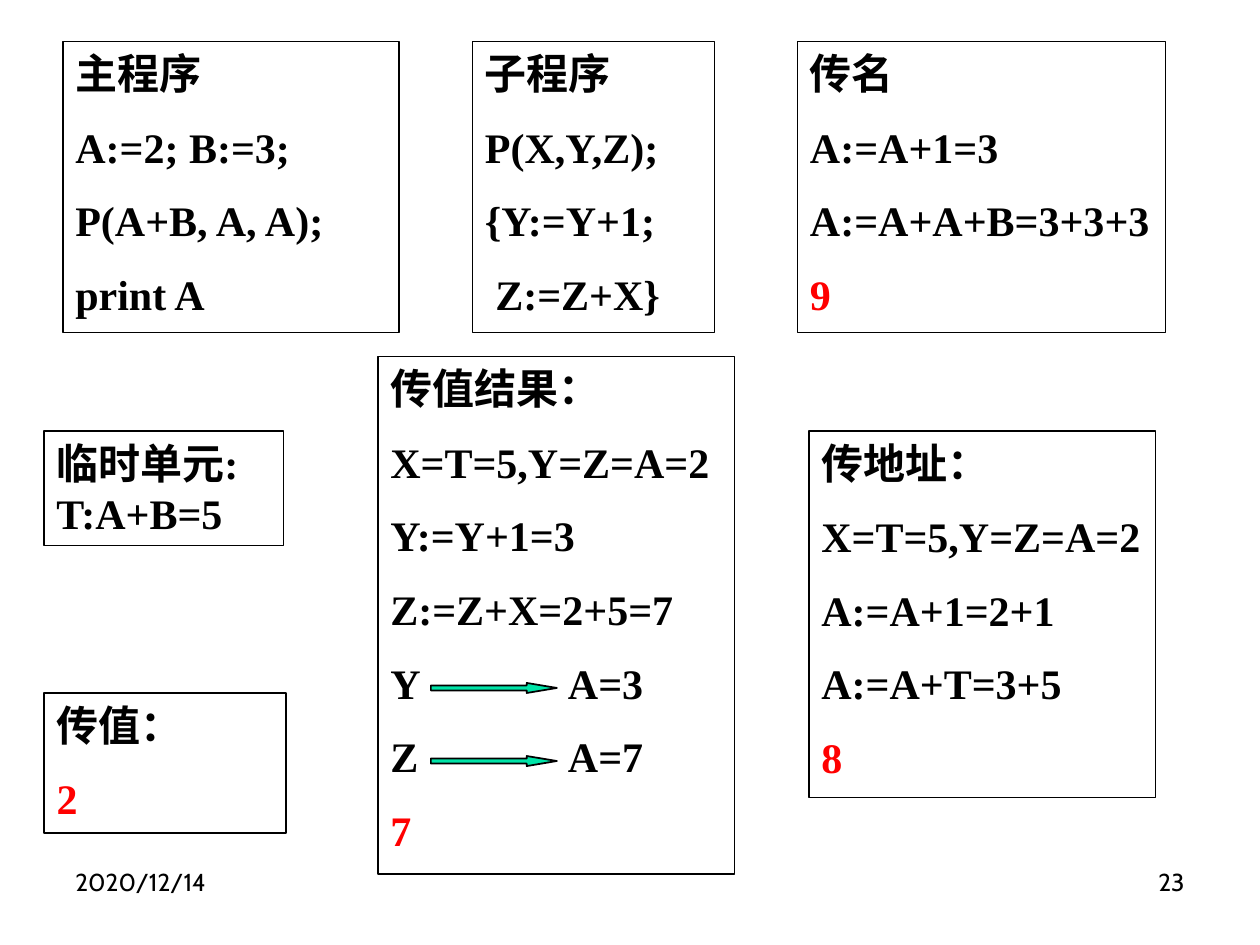
from dataclasses import dataclass

from lxml.etree import SubElement
from pptx import Presentation
from pptx.dml.color import RGBColor
from pptx.enum.shapes import MSO_SHAPE as Shape
from pptx.enum.text import MSO_ANCHOR as Anchor, PP_ALIGN as Align
from pptx.oxml.ns import qn
from pptx.util import Pt

PX = 9144  # 100 px to the inch
BLACK, RED, GREEN = "000000", "FF0000", "00E4A8"
TAB = 141


@dataclass
class Panel:
    x: int
    y: int
    w: int
    h: int
    lines: list[str]
    answer: str = ""


def px(*vals: int) -> list[int]:
    return [v * PX for v in vals]


def tint(code: str) -> RGBColor:
    return RGBColor.from_string(code)


def style(para, face: str, size: int, color: str = BLACK, bold: bool = False) -> None:
    for run in para.runs:
        font = run.font
        font.name, font.size, font.bold = face, Pt(size), bold
        font.color.rgb = tint(color)


def outline(shape) -> None:
    shape.shadow.inherit = False
    shape.line.color.rgb = tint(BLACK)
    shape.line.width = Pt(1)


def add_tab(para) -> None:
    stops = SubElement(para._p.get_or_add_pPr(), qn("a:tabLst"))
    SubElement(stops, qn("a:tab"), pos=str(TAB * PX), algn="l")


def add_panel(slide, panel: Panel) -> None:
    box = slide.shapes.add_shape(
        Shape.RECTANGLE, *px(panel.x, panel.y, panel.w, panel.h))
    outline(box)
    box.fill.background()
    frame = box.text_frame
    frame.word_wrap = True
    frame.vertical_anchor = Anchor.TOP
    rows = [(line, BLACK) for line in panel.lines]
    if panel.answer:
        rows.append((panel.answer, RED))
    for i, (line, color) in enumerate(rows):
        para = frame.add_paragraph() if i else frame.paragraphs[0]
        para.text = line
        para.alignment = Align.LEFT
        if i:
            para.space_before = Pt(13.25)
        if "\t" in line:
            add_tab(para)
        style(para, "Times New Roman", 24, color, True)


def add_arrow(slide, x: int, y: int) -> None:
    arrow = slide.shapes.add_shape(Shape.RIGHT_ARROW, *px(x, y, 100, 8))
    outline(arrow)
    arrow.fill.solid()
    arrow.fill.fore_color.rgb = tint(GREEN)
    arrow.adjustments[0] = 0.5
    arrow.adjustments[1] = 3


def add_foot(slide, x: int, text: str, align: Align) -> None:
    box = slide.shapes.add_textbox(*px(x, 683, 233, 52))
    frame = box.text_frame
    frame.word_wrap = True
    frame.text = text
    para = frame.paragraphs[0]
    para.alignment = align
    style(para, "Cabin", 14)


PANELS = [
    # Programs and call by name
    Panel(50, 33, 267, 231, ["主程序", "A:=2; B:=3;", "P(A+B, A, A);", "print A"]),
    Panel(375, 33, 192, 231, ["子程序", "P(X,Y,Z);", "{Y:=Y+1;", " Z:=Z+X}"]),
    Panel(633, 33, 292, 231, ["传名", "A:=A+1=3", "A:=A+A+B=3+3+3"], "9"),
    # Temporary cell and call by value
    Panel(35, 342, 190, 91, ["临时单元: T:A+B=5"]),
    Panel(35, 550, 192, 111, ["传值："], "2"),
    # Call by value-result and by address
    Panel(300, 283, 283, 411,
          ["传值结果：", "X=T=5,Y=Z=A=2", "Y:=Y+1=3", "Z:=Z+X=2+5=7",
           "Y\tA=3", "Z\tA=7"], "7"),
    Panel(642, 342, 275, 291,
          ["传地址：", "X=T=5,Y=Z=A=2", "A:=A+1=2+1", "A:=A+T=3+5"], "8"),
]


def main() -> None:
    deck = Presentation()
    deck.slide_width, deck.slide_height = px(1000, 750)
    slide = deck.slides.add_slide(deck.slide_layouts[6])

    # Date and page number
    add_foot(slide, 50, "2020/12/14", Align.LEFT)
    add_foot(slide, 717, "23", Align.RIGHT)

    # Panels, then the copy-back arrows
    for panel in PANELS:
        add_panel(slide, panel)
    for y in (542, 600):
        add_arrow(slide, 342, y)

    deck.save("out.pptx")


if __name__ == "__main__":
    main()
